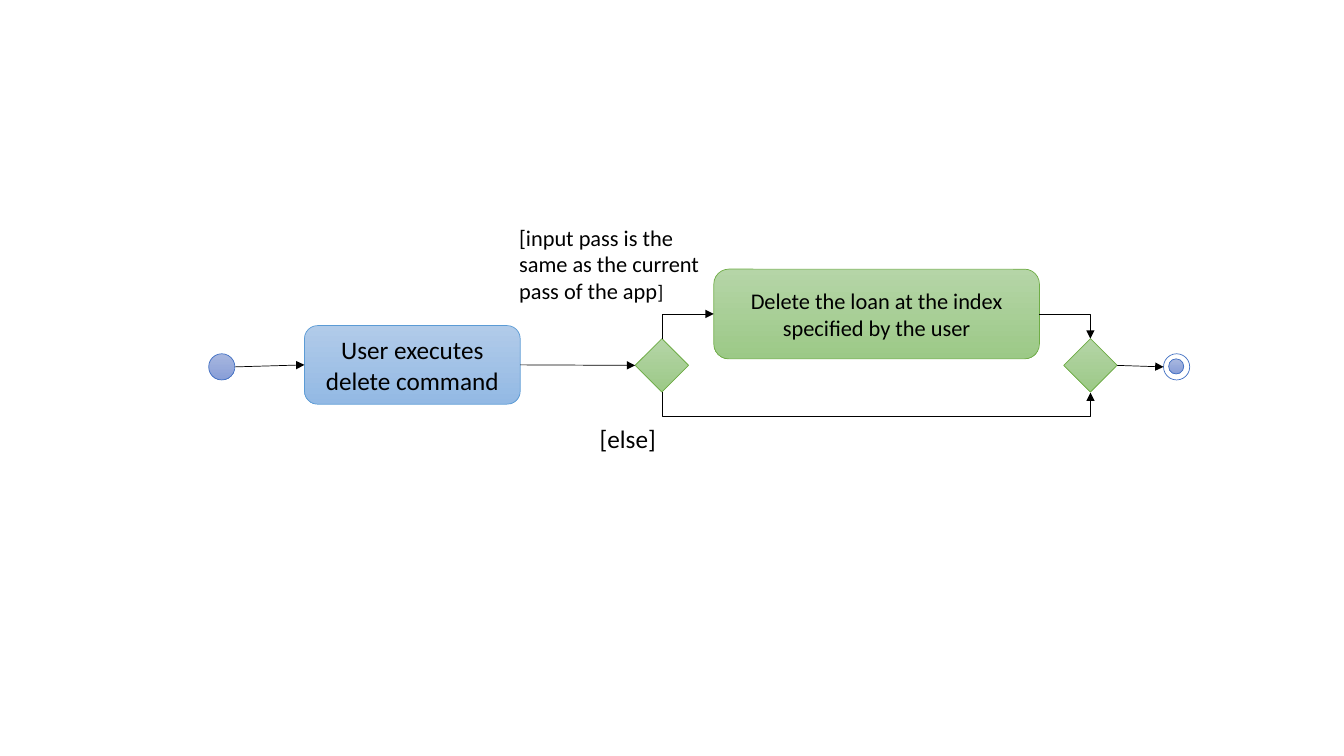
from dataclasses import dataclass

from lxml import etree
from pptx import Presentation
from pptx.dml.color import RGBColor
from pptx.enum.shapes import MSO_CONNECTOR, MSO_SHAPE
from pptx.enum.text import MSO_ANCHOR, MSO_AUTO_SIZE, PP_ALIGN
from pptx.oxml.ns import qn
from pptx.util import Pt

PX = 9144
FONT = "Calibri"
ROUND, DIAMOND, OVAL = MSO_SHAPE.ROUNDED_RECTANGLE, MSO_SHAPE.DIAMOND, MSO_SHAPE.OVAL
STRAIGHT, ELBOW = MSO_CONNECTOR.STRAIGHT, MSO_CONNECTOR.ELBOW
CENTER, MIDDLE = PP_ALIGN.CENTER, MSO_ANCHOR.MIDDLE
GROW = MSO_AUTO_SIZE.SHAPE_TO_FIT_TEXT
TOP, LEFT, BOTTOM, RIGHT = range(4)
COLORS = {
    "text": "000000", "white": "FFFFFF",
    "dot": "4472C4", "dot top": "A8B7DF", "dot end": "889ED7",
    "blue": "5B9BD5", "blue top": "B1CBE9", "blue end": "93B9E4",
    "green": "70AD47", "green top": "B5D5A7", "green end": "9CC987",
}


@dataclass
class Node:
    name: str
    kind: int
    left: int
    top: int
    width: int
    height: int
    color: str
    text: str = ""
    size: int = 18
    plain: bool = False


@dataclass
class Label:
    left: int
    top: int
    width: int
    height: int
    runs: list[tuple[str, int]]


@dataclass
class Arrow:
    start: str
    end: str


@dataclass
class Bend:
    start: str
    out: int
    end: str
    into: int
    preset: str
    turn: int = 0
    flips: str = ""
    drop: int = 0


NODES = [
    Node("start", OVAL, 207, 351, 26, 26, "dot"),
    Node("user", ROUND, 302, 323, 214, 78, "blue", "User executes delete command"),
    Node("merge", DIAMOND, 1055, 336, 53, 53, "green"),
    Node("loan", ROUND, 708, 267, 323, 89, "green",
         "Delete the loan at the index specified by the user", 16),
    Node("check", DIAMOND, 630, 336, 53, 53, "green"),
]
FINAL = [
    Node("final", OVAL, 1154, 351, 26, 26, "dot", plain=True),
    Node("core", OVAL, 1159, 356, 15, 15, "dot"),
]
LABELS = [
    Label(585, 415, 93, 40, [("[else]", 18)]),
    Label(505, 217, 205, 91, [
        ("[input pass is the same as the current pass of the app", 16), ("]", 14)]),
]
ARROWS = [Arrow("start", "user"), Arrow("user", "check"), Arrow("merge", "final")]
BENDS = [
    Bend("check", TOP, "loan", LEFT, "bentConnector2", 90, "HV"),
    Bend("check", BOTTOM, "merge", BOTTOM, "bentConnector3", 270, "H", 25),
    Bend("loan", RIGHT, "merge", TOP, "bentConnector2"),
]


def rgb(name: str) -> RGBColor:
    return RGBColor.from_string(COLORS[name])


def draw_node(shapes, node: Node):
    shape = shapes.add_shape(node.kind, node.left * PX, node.top * PX,
                             node.width * PX, node.height * PX)
    shape.shadow.inherit = False
    fill = shape.fill
    if node.plain:
        fill.solid()
        fill.fore_color.rgb = rgb("white")
    else:
        fill.gradient()
        fill.gradient_angle = 270
        for stop, part in zip(fill.gradient_stops, ("top", "end")):
            stop.color.rgb = rgb(f"{node.color} {part}")
    shape.line.color.rgb = rgb(node.color)
    shape.line.width = Pt(0.5)
    if node.text:
        frame = shape.text_frame
        frame.word_wrap = True
        frame.vertical_anchor = MIDDLE
        para = frame.paragraphs[0]
        para.text = node.text
        para.alignment = CENTER
        set_font(para.font, node.size)
    return shape


def set_font(font, size: int) -> None:
    font.name = FONT
    font.size = Pt(size)
    font.color.rgb = rgb("text")


def draw_label(shapes, label: Label) -> None:
    box = shapes.add_textbox(label.left * PX, label.top * PX,
                             label.width * PX, label.height * PX)
    frame = box.text_frame
    frame.word_wrap = True
    frame.auto_size = GROW
    para = frame.paragraphs[0]
    for text, size in label.runs:
        run = para.add_run()
        run.text = text
        set_font(run.font, size)


def style_line(line) -> None:
    line.line.color.rgb = rgb("text")
    line.line.width = Pt(0.5)
    props = line._element.spPr
    etree.SubElement(props.find(qn("a:ln")), qn("a:tailEnd"), type="triangle")
    etree.SubElement(props, qn("a:effectLst"))


def draw_arrow(shapes, arrow: Arrow, drawn: dict) -> None:
    start, end = drawn[arrow.start], drawn[arrow.end]
    line = shapes.add_connector(
        STRAIGHT, start.left + start.width, start.top + start.height // 2,
        end.left, end.top + end.height // 2)
    if start.auto_shape_type != OVAL:
        line.begin_connect(start, RIGHT)
    if end.auto_shape_type != OVAL:
        line.end_connect(end, LEFT)
    style_line(line)


def draw_bend(shapes, bend: Bend, drawn: dict) -> None:
    line = shapes.add_connector(ELBOW, 0, 0, 0, 0)
    line.begin_connect(drawn[bend.start], bend.out)
    line.end_connect(drawn[bend.end], bend.into)
    style_line(line)
    props = line._element.spPr
    shape = props.find(qn("a:prstGeom"))
    shape.set("prst", bend.preset)
    if bend.turn:
        mid_x = (line.begin_x + line.end_x) // 2
        mid_y = (line.begin_y + line.end_y) // 2
        wide = max(abs(line.end_y - line.begin_y), PX)
        high = abs(line.end_x - line.begin_x)
        line.left, line.top = mid_x - wide // 2, mid_y - high // 2
        line.width, line.height = wide, high
        frame = props.find(qn("a:xfrm"))
        frame.set("rot", str(bend.turn * 60000))
        for axis in "HV":
            frame.set(f"flip{axis}", "1" if axis in bend.flips else "0")
    if bend.drop:
        guides = shape.find(qn("a:avLst"))
        etree.SubElement(guides, qn("a:gd"), name="adj1",
                         fmla=f"val {bend.drop * 100000}")


def main() -> None:
    deck = Presentation()
    deck.slide_width, deck.slide_height = 1333 * PX, 750 * PX
    shapes = deck.slides.add_slide(deck.slide_layouts[6]).shapes
    drawn = {node.name: draw_node(shapes, node) for node in NODES}
    group = shapes.add_group_shape()
    drawn |= {node.name: draw_node(group.shapes, node) for node in FINAL}
    for label in LABELS:
        draw_label(shapes, label)
    for arrow in ARROWS:
        draw_arrow(shapes, arrow, drawn)
    for bend in BENDS:
        draw_bend(shapes, bend, drawn)
    deck.save("out.pptx")


if __name__ == "__main__":
    main()
